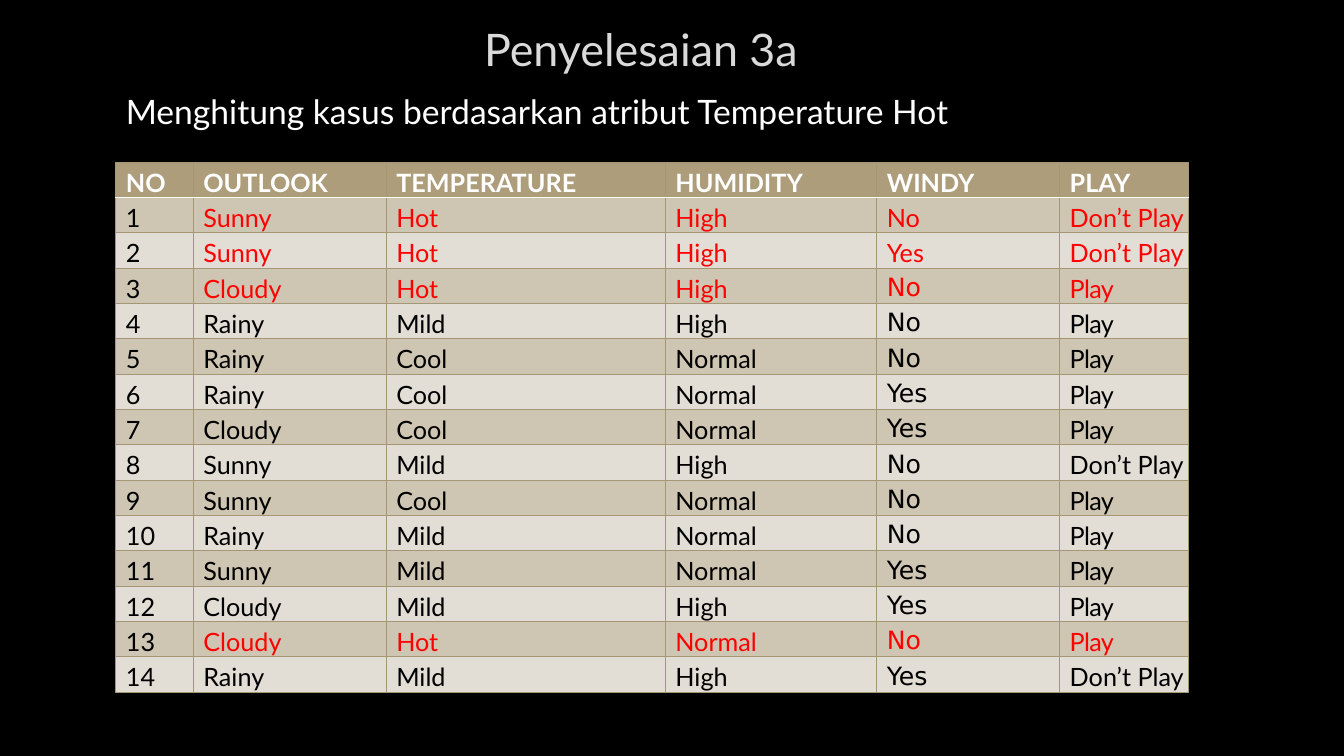
from lxml import etree
from pptx import Presentation
from pptx.dml.color import RGBColor
from pptx.enum.text import MSO_ANCHOR, PP_ALIGN
from pptx.oxml.ns import qn
from pptx.util import Pt

CENTER = PP_ALIGN.CENTER
TOP, MIDDLE = MSO_ANCHOR.TOP, MSO_ANCHOR.MIDDLE

COLORS = {
    "background": "000000", "title": "DADADA", "white": "FFFFFF",
    "text": "000000", "highlight": "FF0000", "header": "AD9D7B",
    "odd": "CEC5B2", "even": "E2DDD5", "border": "A59675",
}
FONT, WINDY_FONT = "Lato", "DejaVu Sans"

HEADERS = ["NO", "OUTLOOK", "TEMPERATURE", "HUMIDITY", "WINDY", "PLAY"]
CASES = [
    ("Sunny", "Hot", "High", "No", "Don’t Play"),
    ("Sunny", "Hot", "High", "Yes", "Don’t Play"),
    ("Cloudy", "Hot", "High", "No", "Play"),
    ("Rainy", "Mild", "High", "No", "Play"),
    ("Rainy", "Cool", "Normal", "No", "Play"),
    ("Rainy", "Cool", "Normal", "Yes", "Play"),
    ("Cloudy", "Cool", "Normal", "Yes", "Play"),
    ("Sunny", "Mild", "High", "No", "Don’t Play"),
    ("Sunny", "Cool", "Normal", "No", "Play"),
    ("Rainy", "Mild", "Normal", "No", "Play"),
    ("Sunny", "Mild", "Normal", "Yes", "Play"),
    ("Cloudy", "Mild", "High", "Yes", "Play"),
    ("Cloudy", "Hot", "Normal", "No", "Play"),
    ("Rainy", "Mild", "High", "Yes", "Don’t Play"),
]
COL_WIDTHS = [55.3, 137.8, 199.4, 151, 130.7, 91.9]
ROW_HEIGHT = 25.15
LEFT = 82.8


class SlideBuilder:
    def __init__(self, prs):
        self.slide = prs.slides.add_slide(prs.slide_layouts[6])
        fill = self.slide.background.fill
        fill.solid()
        fill.fore_color.rgb = self.color("background")

    def color(self, name):
        return RGBColor.from_string(COLORS[name])

    def add_text(self, tf, text, color, **formats):
        """Fill the first paragraph of a text frame with one styled run."""
        p = tf.paragraphs[0]
        r = p.add_run()
        r.text = text
        r.font.color.rgb = self.color(color)
        for name, value in {"name": FONT, "bold": False, **formats}.items():
            setattr(r.font, name, value)
        return p, r

    def text(self, box, text, color, size, align=None, **frame):
        sp = self.slide.shapes.add_textbox(*map(Pt, box))
        tf = sp.text_frame
        for name, value in {"word_wrap": True, **frame}.items():
            setattr(tf, name, value)
        p, _ = self.add_text(tf, text, color, size=Pt(size))
        p.alignment = align

    def border(self, cell, side, color, width):
        tc_pr = cell._tc.get_or_add_tcPr()
        ln = etree.SubElement(tc_pr, qn(f"a:ln{side}"), w=str(Pt(width)))
        fill = etree.SubElement(ln, qn("a:solidFill"))
        etree.SubElement(fill, qn("a:srgbClr"), val=COLORS[color])

    def cell(self, cell, text, color, fill, white_side=None, **formats):
        margins = {"margin_left": Pt(7.2), "margin_top": Pt(3.6),
                   "margin_right": 0, "margin_bottom": 0, "vertical_anchor": TOP}
        for name, value in margins.items():
            setattr(cell, name, value)
        for side in "LRTB":
            style = ("white", 1.25) if side == white_side else ("border", 0.75)
            self.border(cell, side, *style)
        cell.fill.solid()
        cell.fill.fore_color.rgb = self.color(fill)
        _, r = self.add_text(cell.text_frame, text, color, size=Pt(18), **formats)
        if text == "Play":
            r._r.get_or_add_rPr().set("spc", "-50")

    def case_table(self, left, top):
        rows = len(CASES) + 1
        size = (sum(COL_WIDTHS), rows * ROW_HEIGHT)
        table = self.slide.shapes.add_table(
            rows, len(HEADERS), *map(Pt, (left, top, *size))).table
        for col, width in zip(table.columns, COL_WIDTHS):
            col.width = Pt(width)
        for row in table.rows:
            row.height = Pt(ROW_HEIGHT)
        for j, header in enumerate(HEADERS):
            self.cell(table.cell(0, j), header, "white", "header", "B", bold=True)
        for i, case in enumerate(CASES, 1):
            band = "odd" if i % 2 else "even"
            for j, value in enumerate((str(i), *case)):
                hot = "Hot" in case and j > 0
                windy = HEADERS[j] == "WINDY" and i > 2
                self.cell(table.cell(i, j), value,
                          "highlight" if hot else "text", band,
                          "T" if i == 1 else None,
                          name=WINDY_FONT if windy else FONT)


def main():
    prs = Presentation()
    prs.slide_width, prs.slide_height = Pt(960), Pt(540)
    s = SlideBuilder(prs)
    s.text((LEFT, 15.6, 750.2, 38.4), "Penyelesaian 3a", "title", 32, CENTER,
           vertical_anchor=MIDDLE, margin_left=0, margin_right=0,
           margin_top=0, margin_bottom=0)
    s.case_table(LEFT, 115.9)
    s.text((LEFT, 61.2, 794.2, 36),
           "Menghitung kasus berdasarkan atribut Temperature Hot", "white", 24)
    prs.save("out.pptx")


if __name__ == "__main__":
    main()
